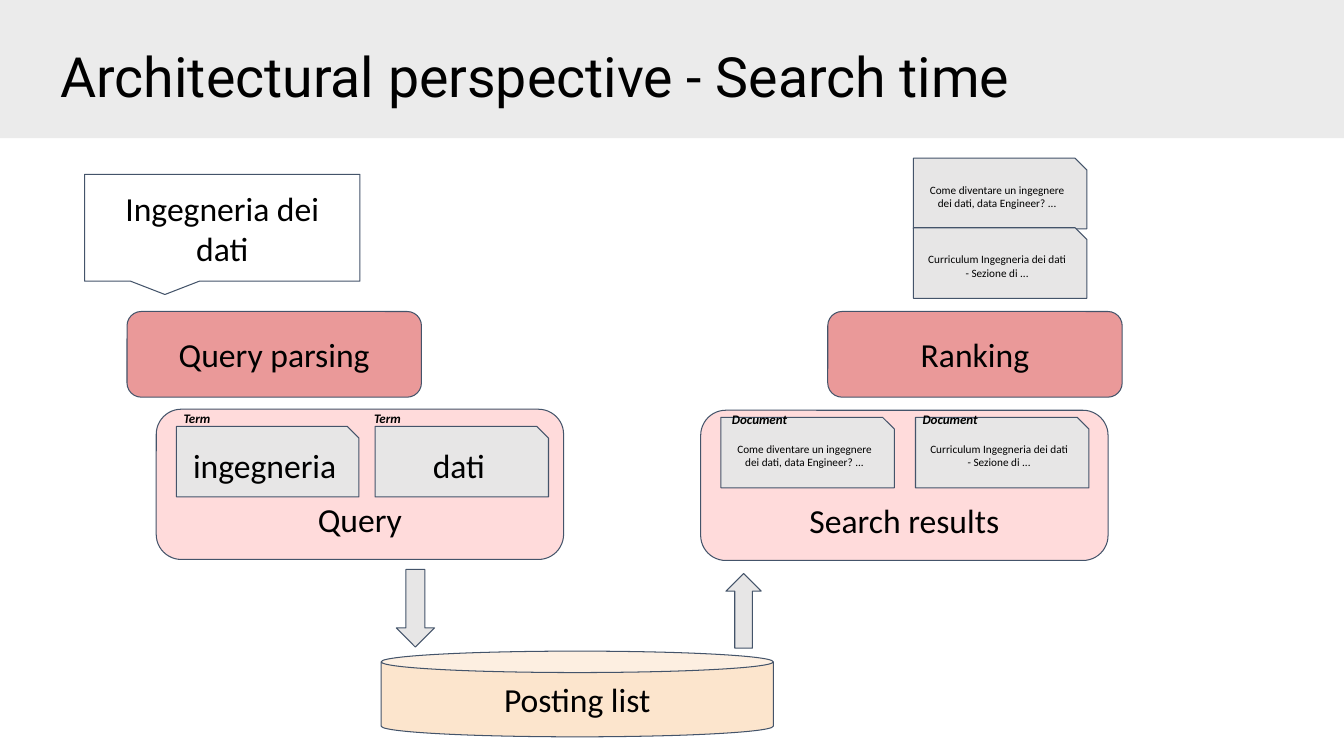
"""Builds the slide on the search-time architecture of a search engine."""
from lxml.etree import SubElement
from pptx import Presentation
from pptx.dml.color import RGBColor
from pptx.enum.shapes import MSO_SHAPE
from pptx.enum.text import MSO_ANCHOR, PP_ALIGN
from pptx.oxml.ns import qn
from pptx.util import Pt

PX = 9144
INSET = 13
THEME = {
    "banner": ("A6A6A6", 22),
    "group": ("FF0000", 14),
    "step": ("EA9999", 100),
    "paper": ("E7E6E6", 100),
    "store": ("FCE5CD", 100),
    "bubble": ("FFFFFF", 100),
    "outline": RGBColor.from_string("44546A"),
    "outline_width": Pt(0.75),
    "title": {"name": "Roboto", "size": Pt(39.6)},
    "body": {"name": "Calibri", "size": Pt(24)},
    "snippet": {"name": "Calibri", "size": Pt(8)},
    "label": {"name": "Calibri", "size": Pt(9.3), "bold": True, "italic": True},
}


def write(holder, text, style, align, anchor, top_inset=INSET):
    frame = holder.text_frame
    layout = {
        "word_wrap": True, "vertical_anchor": anchor,
        "margin_left": INSET * PX, "margin_right": INSET * PX,
        "margin_top": top_inset * PX, "margin_bottom": INSET * PX,
    }
    for name, value in layout.items():
        setattr(frame, name, value)
    paragraph = frame.paragraphs[0]
    paragraph.alignment = align
    run = paragraph.add_run()
    run.text = text
    for name, value in THEME[style].items():
        setattr(run.font, name, value)
    run.font.color.rgb = RGBColor(0, 0, 0)
    return paragraph


def draw(kind, box, role):
    shape = slide.shapes.add_shape(kind, *(v * PX for v in box))
    shape.shadow.inherit = False
    color, opacity = THEME[role]
    shape.fill.solid()
    shape.fill.fore_color.rgb = RGBColor.from_string(color)
    if opacity < 100:
        tint = shape.fill._xPr.find(qn("a:solidFill"))[0]
        SubElement(tint, qn("a:alpha")).set("val", str(opacity * 1000))
    if role == "banner":
        shape.line.fill.background()
    else:
        shape.line.color.rgb = THEME["outline"]
        shape.line.width = THEME["outline_width"]
    return shape


deck = Presentation()
deck.slide_width, deck.slide_height = 1333 * PX, 750 * PX
slide = deck.slides.add_slide(deck.slide_layouts[6])

draw(MSO_SHAPE.RECTANGLE, (0, 0, 1333, 137), "banner")
title = slide.shapes.add_textbox(*(v * PX for v in (47, 36, 1238, 78)))
heading = write(title, "Architectural perspective - Search time", "title",
                PP_ALIGN.LEFT, MSO_ANCHOR.TOP)
heading.line_spacing = 0.9

for left, top, caption in ((155, 406, "Query"), (695, 407, "Search results")):
    group = draw(MSO_SHAPE.ROUNDED_RECTANGLE, (left, top, 404, 149), "group")
    write(group, caption, "body", PP_ALIGN.CENTER, MSO_ANCHOR.BOTTOM)

stages = (
    (MSO_SHAPE.RECTANGULAR_CALLOUT, (84, 173, 273, 106), "bubble", "Ingegneria dei dati"),
    (MSO_SHAPE.CAN, (378, 646, 389, 85), "store", "Posting list"),
    (MSO_SHAPE.ROUNDED_RECTANGLE, (126, 309, 292, 85), "step", "Query parsing"),
    (MSO_SHAPE.ROUNDED_RECTANGLE, (821, 309, 292, 85), "step", "Ranking"),
)
for kind, box, role, caption in stages:
    write(draw(kind, box, role), caption, "body", PP_ALIGN.CENTER, MSO_ANCHOR.MIDDLE)

draw(MSO_SHAPE.DOWN_ARROW, (393, 565, 38, 77), "paper")
draw(MSO_SHAPE.UP_ARROW, (720, 569, 35, 74), "paper")

career = "Come diventare un ingegnere dei dati, data Engineer? ..."
curriculum = "Curriculum Ingegneria dei dati - Sezione di ..."
papers = (
    (175, 423, 181, "ingegneria", "body"),
    (372, 423, 172, "dati", "body"),
    (715, 414, 172, career, "snippet"),
    (908, 414, 172, curriculum, "snippet"),
    (906, 157, 172, career, "snippet"),
    (906, 226, 172, curriculum, "snippet"),
)
for left, top, width, content, style in papers:
    paper = draw(MSO_SHAPE.SNIP_1_RECTANGLE, (left, top, width, 70), "paper")
    write(paper, content, style, PP_ALIGN.CENTER, MSO_ANCHOR.MIDDLE)

labels = ((169, 402, "Term"), (358, 402, "Term"),
          (713, 403, "Document"), (902, 403, "Document"))
for left, top, word in labels:
    label = slide.shapes.add_textbox(*(v * PX for v in (left, top, 108, 43)))
    write(label, word, "label", PP_ALIGN.LEFT, MSO_ANCHOR.TOP, top_inset=8)

deck.save("out.pptx")
